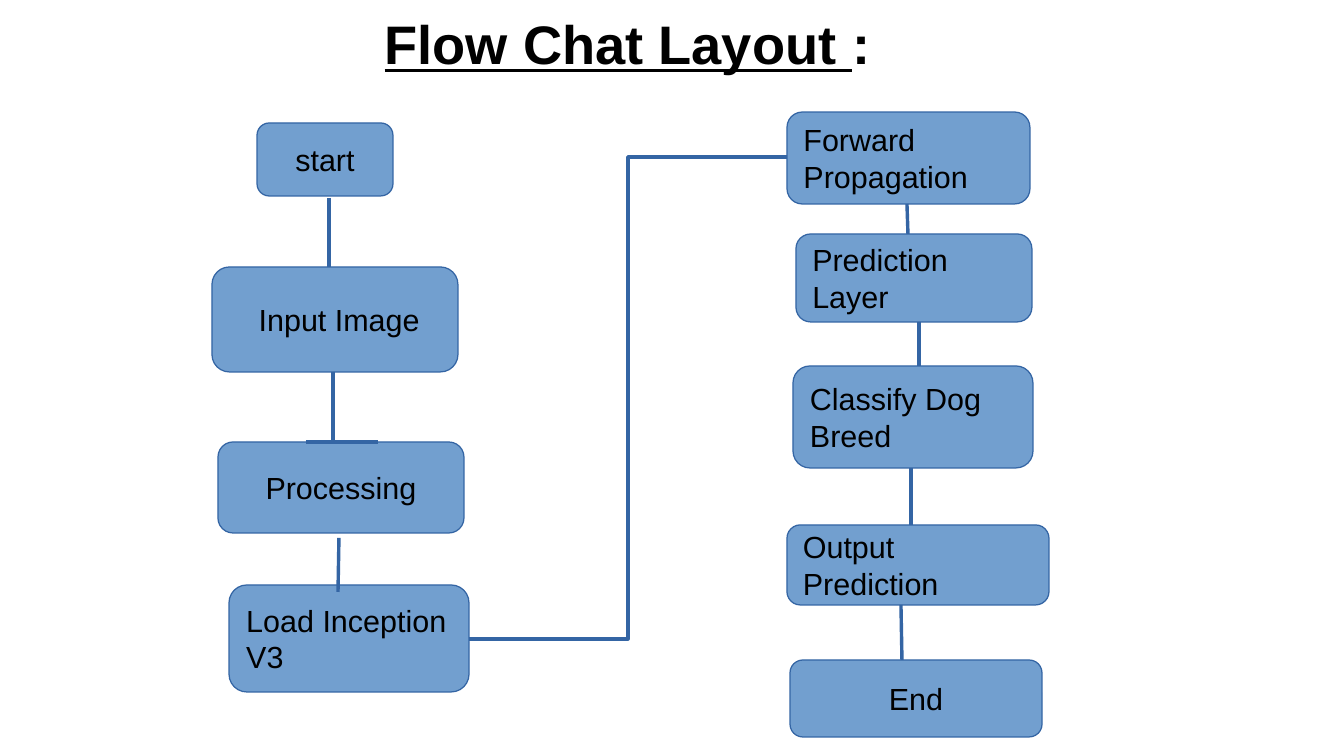
from dataclasses import dataclass

from pptx import Presentation
from pptx import util as u
from pptx.dml.color import RGBColor
from pptx.enum import shapes, text
from pptx.oxml.ns import qn
from lxml import etree

PX = 914400 / 122


@dataclass(frozen=True)
class Theme:
    font: str = "Arial"
    ink: RGBColor = RGBColor(0, 0, 0)
    fill: RGBColor = RGBColor(0x72, 0x9F, 0xCF)
    edge: RGBColor = RGBColor(0x34, 0x65, 0xA4)
    head: int = 32
    body: int = 18
    line: int = 0


THEME = Theme()
MID, LEFT = text.PP_ALIGN.CENTER, text.PP_ALIGN.LEFT

# label, box (left, top, width, height), alignment
STEPS = [
    ("start", (257, 123, 136, 73), MID),
    (" Input Image", (212, 267, 246, 105), MID),
    ("Processing", (218, 442, 246, 91), MID),
    ("Load Inception V3", (229, 585, 240, 107), LEFT),
    ("Forward Propagation", (787, 112, 243, 92), LEFT),
    ("Prediction Layer", (796, 234, 236, 88), LEFT),
    ("Classify Dog Breed", (793, 366, 240, 102), LEFT),
    ("Output Prediction", (787, 525, 262, 80), LEFT),
    ("End", (790, 660, 252, 77), MID),
]

# from x, y to x, y
LINKS = [
    (329, 198, 329, 267),
    (306, 442, 378, 442),
    (333, 372, 333, 442),
    (339, 538, 338, 592),
    (907, 204, 908, 234),
    (919, 322, 919, 366),
    (911, 468, 911, 525),
    (901, 605, 902, 660),
]
BEND = (469, 639, 787, 157)


def emu(nums):
    return [round(n * PX) for n in nums]


def add_run(para, words, size, **look):
    run = para.add_run()
    run.text = words
    font = run.font
    font.name, font.size = THEME.font, u.Pt(size)
    font.color.rgb = THEME.ink
    for key, val in look.items():
        setattr(font, key, val)


def set_edge(line):
    line.color.rgb = THEME.edge
    line.width = u.Pt(THEME.line)


def add_title(slide, box):
    frame = slide.shapes.add_textbox(*emu(box)).text_frame
    frame.word_wrap = True
    frame.vertical_anchor = text.MSO_ANCHOR.MIDDLE
    frame.margin_left = frame.margin_right = 0
    frame.margin_top = frame.margin_bottom = 0
    para = frame.paragraphs[0]
    para.alignment = MID
    add_run(para, "Flow Chat Layout ", THEME.head, bold=True, underline=True)
    add_run(para, ": ", THEME.head, bold=True, underline=False)


def add_step(slide, label, box, align):
    step = slide.shapes.add_shape(shapes.MSO_SHAPE.ROUNDED_RECTANGLE, *emu(box))
    step.shadow.inherit = False
    step.fill.solid()
    step.fill.fore_color.rgb = THEME.fill
    set_edge(step.line)
    frame = step.text_frame
    frame.word_wrap = True
    frame.vertical_anchor = text.MSO_ANCHOR.MIDDLE
    para = frame.paragraphs[0]
    para.alignment = align
    add_run(para, label, THEME.body)


def add_link(slide, ends, kind=shapes.MSO_CONNECTOR.STRAIGHT):
    link = slide.shapes.add_connector(kind, *emu(ends))
    set_edge(link.line)
    etree.SubElement(link._element.spPr, qn("a:effectLst"))


def add_flow(slide):
    for step in STEPS:
        add_step(slide, *step)
    for ends in LINKS:
        add_link(slide, ends)
    add_link(slide, BEND, shapes.MSO_CONNECTOR.ELBOW)


def main():
    deck = Presentation()
    deck.slide_width, deck.slide_height = emu((1344, 756))
    slide = deck.slides.add_slide(deck.slide_layouts[6])
    add_title(slide, (30, -20, 1210, 126))
    add_flow(slide)
    deck.save("out.pptx")


if __name__ == "__main__":
    main()
